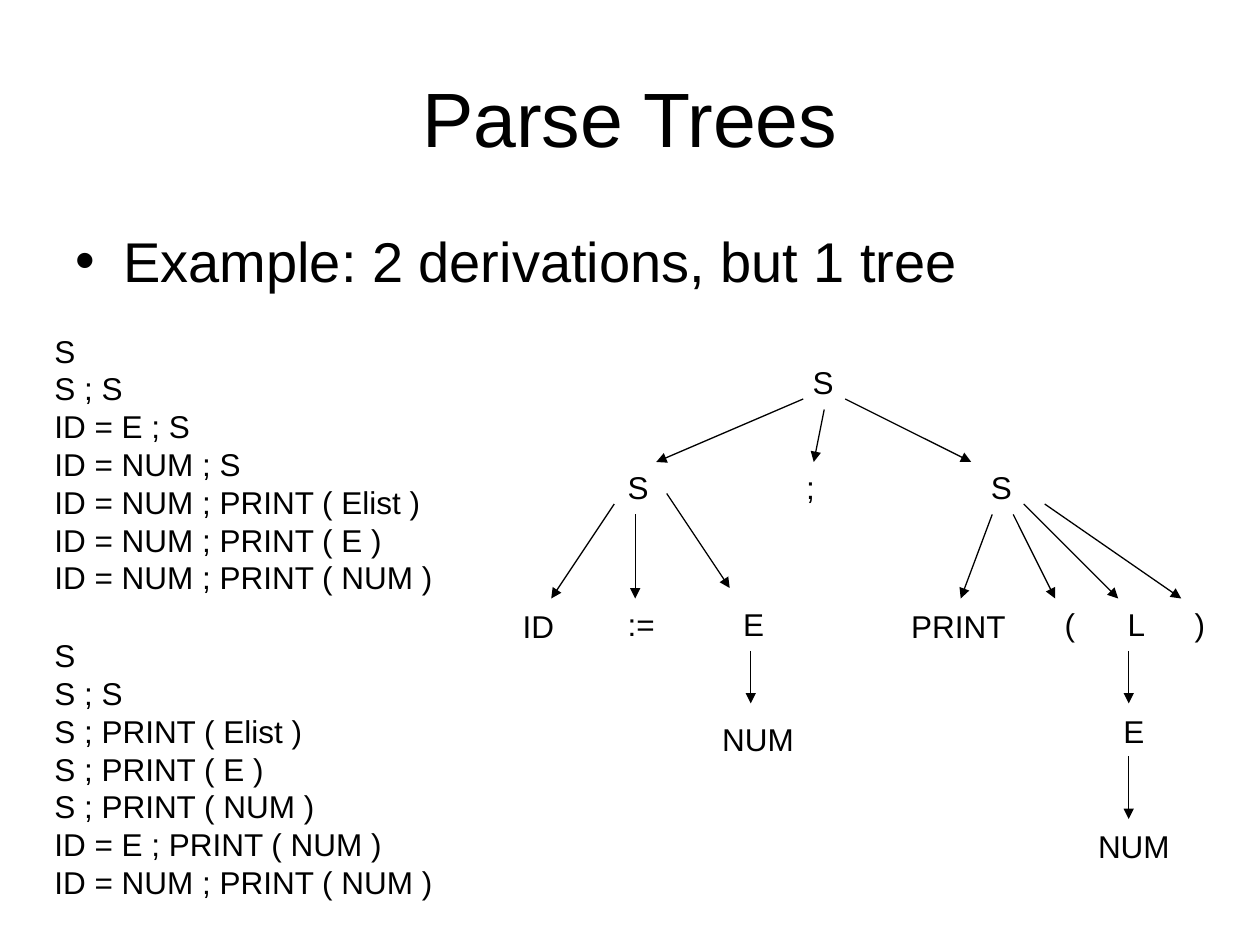
from lxml import etree
from pptx import Presentation
from pptx.dml.color import RGBColor
from pptx.enum.shapes import MSO_CONNECTOR
from pptx.enum.text import MSO_ANCHOR, PP_ALIGN
from pptx.oxml.ns import qn
from pptx.util import Inches, Pt

STRAIGHT = MSO_CONNECTOR.STRAIGHT
MIDDLE, TOP = MSO_ANCHOR.MIDDLE, MSO_ANCHOR.TOP
LEFT, CENTER = PP_ALIGN.LEFT, PP_ALIGN.CENTER

COLORS = {"ink": "000000", "paper": "FFFFFF"}
FONT = "Arial"
TITLE_ONLY = 5
CELLS_PER_INCH = 12
LABEL_HEIGHT = 4.8

SYMBOL_WIDTHS = {
    "S": 4.4, "E": 4.4, "L": 4.2, "ID": 5.5, ":=": 5.3, ";": 3.3,
    "NUM": 9.4, "PRINT": 11.6, "(": 3.5, ")": 3.5,
}

TREE_NODES = [
    ("S", 76.2, 34),
    ("S", 58.6, 44), (";", 75.6, 44), ("S", 93.2, 44),
    ("ID", 48.6, 57.2), (":=", 58.6, 57), ("E", 69.6, 57),
    ("PRINT", 85.6, 57.2), ("(", 100.2, 57), ("L", 106.2, 57), (")", 112.6, 57),
    ("NUM", 67.6, 68), ("E", 105.8, 67.2), ("NUM", 103.4, 78.2),
]

TREE_EDGES = [
    (76.5, 38, 62.5, 44), (78.5, 39, 77.5, 44), (80.5, 38, 92.5, 44),
    (58.5, 48, 52.5, 57), (60.5, 49, 60.5, 57), (63.5, 47, 69.5, 56),
    (94.5, 49, 91.5, 57), (96.5, 49, 100.5, 57),
    (97.5, 48, 106.5, 57), (99.5, 48, 112.5, 57),
    (71.5, 62, 71.5, 67), (107.5, 62, 107.5, 67), (107.5, 72, 107.5, 78),
]

LEFTMOST_DERIVATION = [
    "S",
    "S ; S",
    "ID = E ; S",
    "ID = NUM ; S",
    "ID = NUM ; PRINT ( Elist )",
    "ID = NUM ; PRINT ( E )",
    "ID = NUM ; PRINT ( NUM )",
]

RIGHTMOST_DERIVATION = [
    "S",
    "S ; S",
    "S ; PRINT ( Elist )",
    "S ; PRINT ( E )",
    "S ; PRINT ( NUM )",
    "ID = E ; PRINT ( NUM )",
    "ID = NUM ; PRINT ( NUM )",
]


def cells(count):
    return Inches(count / CELLS_PER_INCH)


def color(name):
    return RGBColor.from_string(COLORS[name])


def add_bullet(paragraph, indent):
    properties = paragraph._p.get_or_add_pPr()
    properties.set("marL", str(indent))
    properties.set("indent", str(-indent))
    etree.SubElement(properties, qn("a:buFont"), typeface=FONT)
    etree.SubElement(properties, qn("a:buChar"), char="•")


def write_text(frame, lines, size=18, align=LEFT, anchor=TOP, wrap=False, bullet=False):
    frame.word_wrap = wrap
    frame.vertical_anchor = anchor
    for index, line in enumerate(lines):
        paragraph = frame.paragraphs[0] if index == 0 else frame.add_paragraph()
        paragraph.text = line
        paragraph.alignment = align
        if bullet:
            add_bullet(paragraph, Inches(0.38))
        paragraph.font.name = FONT
        paragraph.font.size = Pt(size)
        paragraph.font.color.rgb = color("ink")


def add_text(slide, lines, left, top, width, height, **text_format):
    box = slide.shapes.add_textbox(*map(cells, (left, top, width, height)))
    write_text(box.text_frame, lines, **text_format)


def add_title(slide, text):
    title = slide.shapes.title
    title.left, title.top, title.width, title.height = map(cells, (6, 3.6, 108, 15))
    write_text(title.text_frame, [text], size=44, align=CENTER, anchor=MIDDLE, wrap=True)


def add_edge(slide, *ends):
    edge = slide.shapes.add_connector(STRAIGHT, *map(cells, ends))
    edge.line.color.rgb = color("ink")
    edge.line.width = Pt(0.75)
    etree.SubElement(edge.line._get_or_add_ln(), qn("a:tailEnd"), type="triangle")
    etree.SubElement(edge._element.spPr, qn("a:effectLst"))


def main():
    deck = Presentation()
    deck.slide_width, deck.slide_height = Inches(10), Inches(7.5)
    slide = deck.slides.add_slide(deck.slide_layouts[TITLE_ONLY])
    slide.background.fill.solid()
    slide.background.fill.fore_color.rgb = color("paper")

    add_title(slide, "Parse Trees")
    add_text(slide, ["Example: 2 derivations, but 1 tree"], 6, 21, 108, 59.4,
             size=32, wrap=True, bullet=True)
    for symbol, left, top in TREE_NODES:
        add_text(slide, [symbol], left, top, SYMBOL_WIDTHS[symbol], LABEL_HEIGHT)
    for ends in TREE_EDGES:
        add_edge(slide, *ends)
    add_text(slide, LEFTMOST_DERIVATION, 4, 31, 38.4, 26.4)
    add_text(slide, RIGHTMOST_DERIVATION, 4, 60, 38.4, 30)

    deck.save("out.pptx")


if __name__ == "__main__":
    main()
